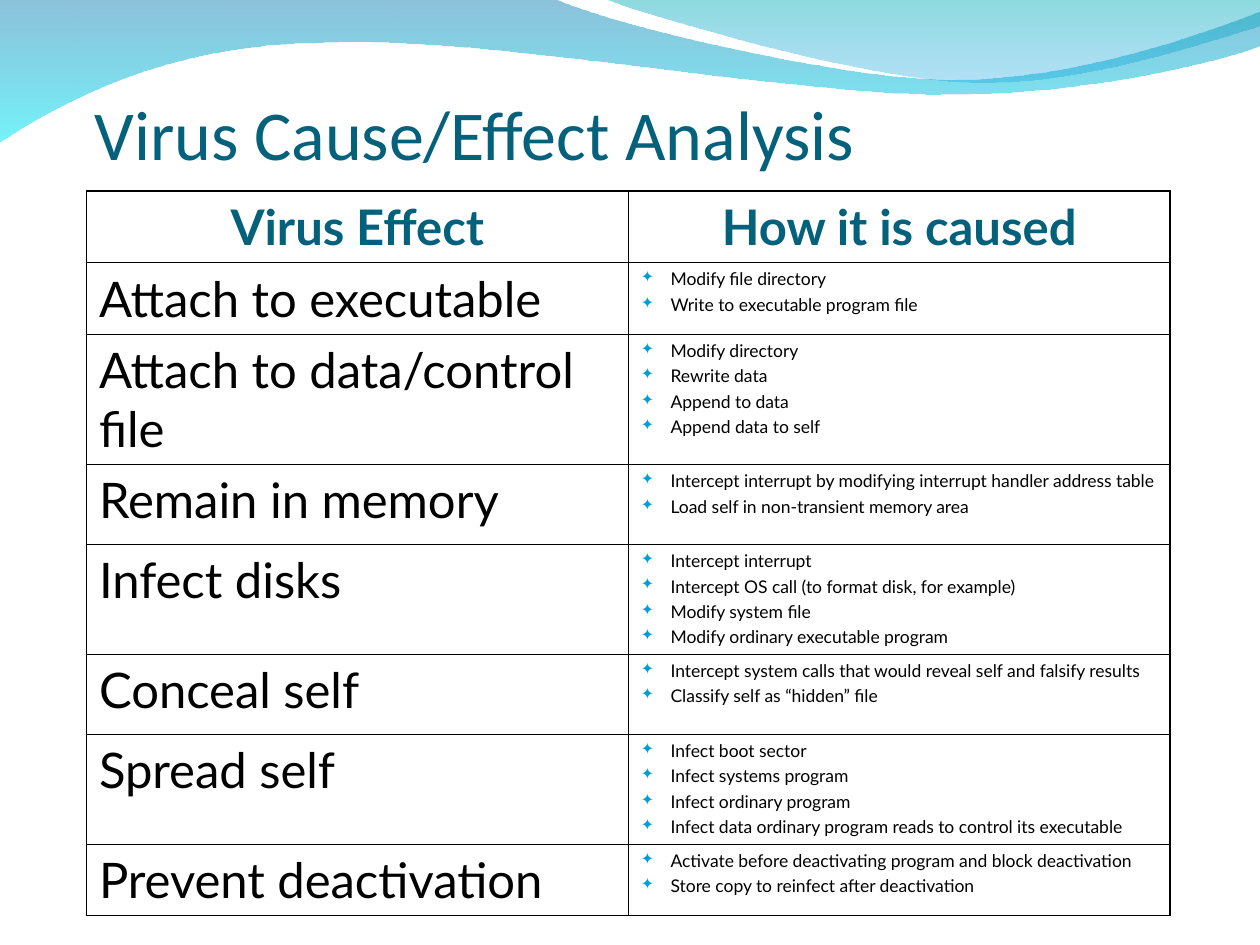
from lxml.etree import SubElement
from pptx import Presentation
from pptx.dml.color import RGBColor
from pptx.enum.text import MSO_ANCHOR as Anchor, PP_ALIGN as Align
from pptx.oxml import parse_xml
from pptx.oxml.ns import nsdecls, qn
from pptx.util import Pt

BLACK = RGBColor(0x00, 0x00, 0x00)
TEAL = RGBColor(0x04, 0x61, 0x7B)
BULLET_BLUE = RGBColor(0x00, 0x9D, 0xD9)
DEEP_BLUE = RGBColor(0x00, 0x79, 0xAF)
CYAN = RGBColor(0x00, 0xEB, 0xF8)
SEA_GREEN = RGBColor(0x00, 0xAD, 0xB6)
SKY_BLUE = RGBColor(0x00, 0x9B, 0xE5)

TITLE = "Virus Cause/Effect Analysis"
HEADINGS = ("Virus Effect", "How it is caused")
EFFECTS = [
    ("Attach to executable", ["Modify file directory", "Write to executable program file"]),
    ("Attach to data/control file",
     ["Modify directory", "Rewrite data", "Append to data", "Append data to self"]),
    ("Remain in memory",
     ["Intercept interrupt by modifying interrupt handler address table",
      "Load self in non-transient memory area"]),
    ("Infect disks",
     ["Intercept interrupt", "Intercept OS call (to format disk, for example)",
      "Modify system file", "Modify ordinary executable program"]),
    ("Conceal self",
     ["Intercept system calls that would reveal self and falsify results",
      "Classify self as “hidden” file"]),
    ("Spread self",
     ["Infect boot sector", "Infect systems program", "Infect ordinary program",
      "Infect data ordinary program reads to control its executable"]),
    ("Prevent deactivation",
     ["Activate before deactivating program and block deactivation",
      "Store copy to reinfect after deactivation"]),
]
ROW_HEIGHTS = [40.8, 40.8, 74.4, 45.7, 62.8, 45.7, 62.8, 40.8]
COLUMN_WIDTH = 309.6
TABLE_LEFT, TABLE_TOP = 49.4, 109.1
THIN, THICK = 0.45, 1.08
INDENT = 17

TITLE_FONT = {"name": "Calibri", "size": Pt(40), "color": TEAL}
HEADING_FONT = {"name": "Lato", "size": Pt(28), "bold": True, "color": TEAL}
EFFECT_FONT = {"name": "Lato", "size": Pt(28), "bold": False, "color": BLACK}
CAUSE_FONT = {"name": "Lato", "size": Pt(10), "bold": False, "color": BLACK}

# Each step holds one point for a line, or three for a cubic curve.
WAVES = [
    {"start": (0, -0.7),
     "steps": [[(316.8, -0.7)],
               [(342.7, 12.2), (478.1, 45.4), (545.8, 45.4)],
               [(614.2, 45.4), (689.8, 18.7), (720, 6.5)],
               [(720.7, 25.9)],
               [(707.8, 31.7), (626.4, 54.7), (537.1, 54)],
               [(446.4, 54), (275, 20.2), (185, 24.5)],
               [(92.9, 25.2), (33.1, 59.8), (-0.7, 81.4)]],
     "stops": [(DEEP_BLUE, 45), (CYAN, 55)]},
    {"start": (344.9, -0.7),
     "steps": [[(366.5, 7.9), (491, 44.6), (553.7, 46.8)],
               [(616.3, 49.7), (691.9, 23), (720, 15.1)],
               [(720, 0)]],
     "stops": [(SEA_GREEN, 45), (SKY_BLUE, 30)]},
]


def bend_segments(shape, steps):
    """Merge the three line segments of each curved step into one cubic curve."""
    segments = shape._element.spPr.iter(qn("a:lnTo"))
    segments = iter(list(segments))
    for step in steps:
        first, *others = [next(segments) for _ in step]
        if others:
            first.tag = qn("a:cubicBezTo")
            for segment in others:
                first.append(segment[0])
                segment.getparent().remove(segment)


def add_wave(slide, start, steps, stops):
    corners = [(Pt(x), Pt(y)) for x, y in sum(steps, [start])]
    builder = slide.shapes.build_freeform(*corners[0])
    builder.add_line_segments(corners[1:], close=True)
    shape = builder.convert_to_shape()
    bend_segments(shape, steps)
    shape.shadow.inherit = False
    shape.line.fill.background()
    shape.fill.gradient()
    shape.fill.gradient_angle = 270
    for stop, (color, _) in zip(shape.fill.gradient_stops, stops):
        stop.color.rgb = color
    colors = shape._element.spPr.find(qn("a:gradFill")).iter(qn("a:srgbClr"))
    for element, (_, opacity) in zip(colors, stops):
        SubElement(element, qn("a:alpha"), val=str(opacity * 1000))


def add_run(paragraph, text, font_format):
    run = paragraph.add_run()
    run.text = text
    for name, value in font_format.items():
        if name == "color":
            run.font.color.rgb = value
        else:
            setattr(run.font, name, value)


def add_bullet(paragraph):
    properties = paragraph._p.get_or_add_pPr()
    properties.set("marL", str(Pt(INDENT)))
    properties.set("indent", str(-Pt(INDENT)))
    color = SubElement(properties, qn("a:buClr"))
    SubElement(color, qn("a:srgbClr"), val=str(BULLET_BLUE))
    SubElement(properties, qn("a:buSzPct"), val="90000")
    SubElement(properties, qn("a:buChar"), char="✦")


def set_borders(cell, widths):
    """Draw black borders, with widths in the order left, right, top, bottom."""
    properties = cell._tc.get_or_add_tcPr()
    for position, (side, width) in enumerate(zip("LRTB", widths)):
        properties.insert(position, parse_xml(
            f'<a:ln{side} {nsdecls("a")} w="{Pt(width)}"><a:solidFill>'
            f'<a:srgbClr val="{BLACK}"/></a:solidFill></a:ln{side}>'))


def add_title(slide):
    box = slide.shapes.add_textbox(Pt(54), Pt(48.2), Pt(612), Pt(90))
    frame = box.text_frame
    frame.word_wrap = True
    frame.vertical_anchor = Anchor.TOP
    frame.margin_left = frame.margin_right = frame.margin_bottom = 0
    frame.margin_top = Pt(3.6)
    add_run(frame.paragraphs[0], TITLE, TITLE_FONT)


def fill_cause_cell(cell, causes):
    frame = cell.text_frame
    for index, cause in enumerate(causes):
        paragraph = frame.add_paragraph() if index else frame.paragraphs[0]
        if index:
            paragraph.space_before = Pt(2.5)
        add_bullet(paragraph)
        add_run(paragraph, cause, CAUSE_FONT)


def add_effect_table(slide):
    rows = len(ROW_HEIGHTS)
    table = slide.shapes.add_table(
        rows, 2, Pt(TABLE_LEFT), Pt(TABLE_TOP),
        Pt(2 * COLUMN_WIDTH), Pt(sum(ROW_HEIGHTS))).table
    table.first_row = table.horz_banding = False
    for column in table.columns:
        column.width = Pt(COLUMN_WIDTH)
    for row, height in zip(table.rows, ROW_HEIGHTS):
        row.height = Pt(height)

    for index, heading in enumerate(HEADINGS):
        paragraph = table.cell(0, index).text_frame.paragraphs[0]
        paragraph.alignment = Align.CENTER
        add_run(paragraph, heading, HEADING_FONT)
    for row, (effect, causes) in enumerate(EFFECTS, start=1):
        add_run(table.cell(row, 0).text_frame.paragraphs[0], effect, EFFECT_FONT)
        fill_cause_cell(table.cell(row, 1), causes)

    for row in range(rows):
        for column in range(2):
            cell = table.cell(row, column)
            cell.fill.background()
            outer = (column == 0, column == 1, row == 0, row == rows - 1)
            set_borders(cell, [THICK if edge else THIN for edge in outer])


def main():
    presentation = Presentation()
    presentation.slide_width, presentation.slide_height = Pt(720), Pt(540)
    slide = presentation.slides.add_slide(presentation.slide_layouts[6])
    for wave in WAVES:
        add_wave(slide, **wave)
    add_title(slide)
    add_effect_table(slide)
    presentation.save("out.pptx")


if __name__ == "__main__":
    main()
